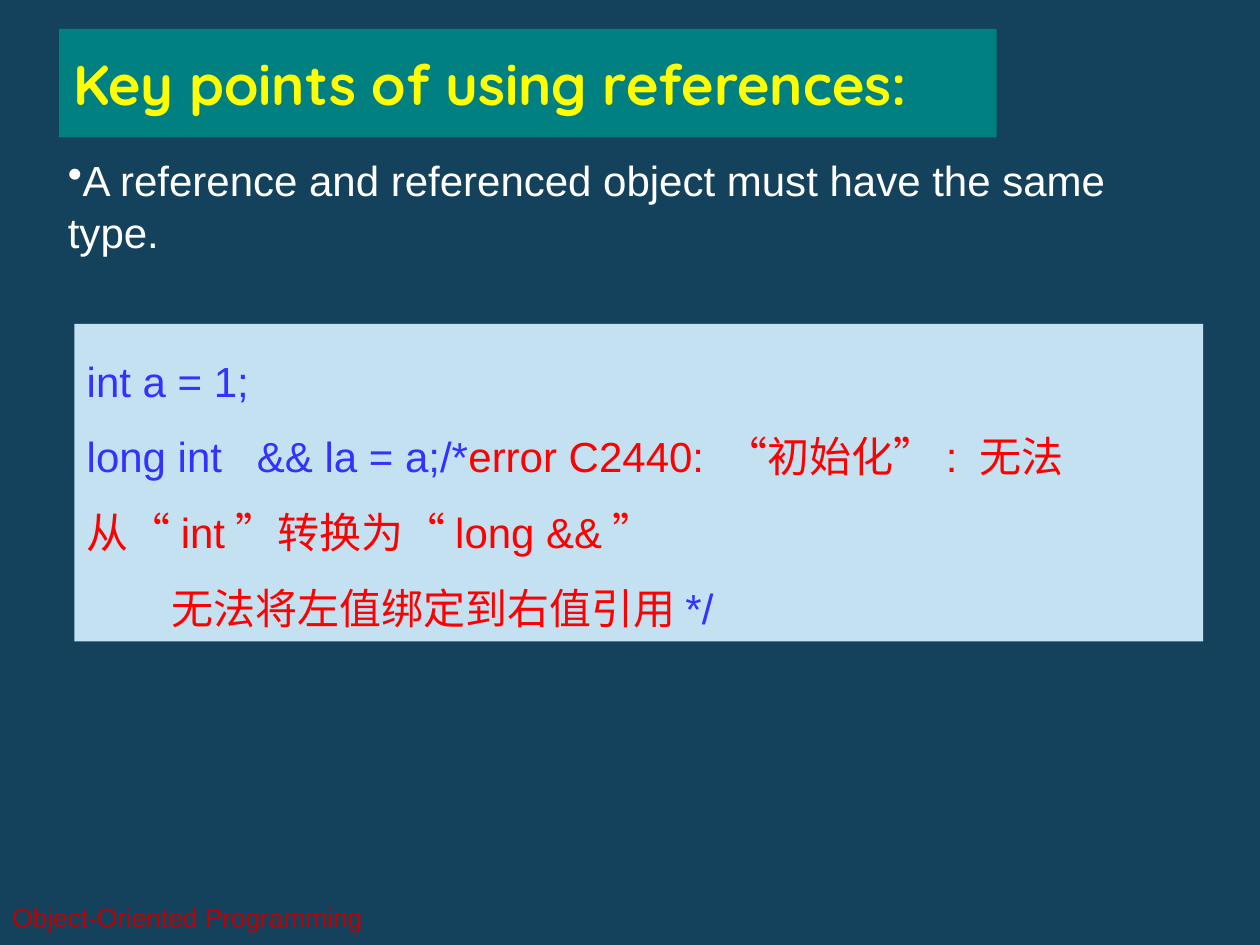
import pptx
import pptx.dml.color
import pptx.enum.shapes
import pptx.enum.text
import pptx.oxml
import pptx.util
from pptx.util import Inches

BACKGROUND, TEAL, PALE_BLUE = "14425D", "008080", "C4E1F2"
YELLOW, WHITE, BLUE, RED, DARK_RED = "FFFF00", "FFFFFF", "3333FF", "FF0000", "C00000"
ANCHOR = pptx.enum.text.MSO_ANCHOR

CODE = [
    [("int a = 1;", BLUE)],
    [("long int   && la = a;/*", BLUE),
     ("error C2440: “初始化”: 无法从“int”转换为“long &&”", RED)],
    [("         无法将左值绑定到右值引用", RED), ("*/", BLUE)],
]


def fill_solid(fill, color):
    fill.solid()
    fill.fore_color.rgb = pptx.dml.color.RGBColor.from_string(color)


def add_run(paragraph, text, color, size, font="Arial", bold=False):
    run = paragraph.add_run()
    run.text = text
    run.font.name = font
    run.font.size = pptx.util.Pt(size)
    run.font.bold = bold
    run.font.color.rgb = pptx.dml.color.RGBColor.from_string(color)


def prepare_frame(shape, anchor, side=0.1):
    """Set wrapping, anchor and margins, and return the text frame."""
    frame = shape.text_frame
    frame.word_wrap = True
    frame.auto_size = pptx.enum.text.MSO_AUTO_SIZE.NONE
    frame.vertical_anchor = anchor
    frame.margin_left = frame.margin_right = Inches(side)
    frame.margin_top = frame.margin_bottom = Inches(0.05)
    return frame


def place_title(slide, left, top, width, height):
    title = slide.shapes.title
    title.left, title.top, title.width, title.height = left, top, width, height
    fill_solid(title.fill, TEAL)
    heading = prepare_frame(title, ANCHOR.MIDDLE, 0.11).paragraphs[0]
    heading.alignment = pptx.enum.text.PP_ALIGN.LEFT
    add_run(heading, "Key points of using references:", YELLOW, 32, "Quicksand", True)


def add_rule(slide, *box):
    rule = prepare_frame(slide.shapes.add_textbox(*box), ANCHOR.TOP).paragraphs[0]
    rule.line_spacing = pptx.util.Pt(29.4)
    bullet = pptx.oxml.parse_xml(
        '<a:buChar xmlns:a="http://schemas.openxmlformats.org/drawingml/2006/main" char="•"/>')
    rule._p.get_or_add_pPr().append(bullet)
    add_run(rule, "A reference and referenced object must have the same type.", WHITE, 24)


def add_code(slide, *box):
    panel = slide.shapes.add_shape(pptx.enum.shapes.MSO_SHAPE.RECTANGLE, *box)
    panel.shadow.inherit = False
    fill_solid(panel.fill, PALE_BLUE)
    panel.line.fill.background()
    frame = prepare_frame(panel, ANCHOR.TOP)
    for index, pieces in enumerate(CODE):
        line = frame.add_paragraph() if index else frame.paragraphs[0]
        line.alignment = pptx.enum.text.PP_ALIGN.LEFT
        line.line_spacing = 1.5
        for text, color in pieces:
            add_run(line, text, color, 24)


def add_footer(slide, *box):
    footer = prepare_frame(slide.shapes.add_textbox(*box), ANCHOR.MIDDLE)
    add_run(footer.paragraphs[0], "Object-Oriented Programming", DARK_RED, 15)


def main():
    deck = pptx.Presentation()
    deck.slide_width, deck.slide_height = Inches(10), Inches(7.5)
    slide = deck.slides.add_slide(deck.slide_layouts.get_by_name("Title Only"))
    fill_solid(slide.background.fill, BACKGROUND)
    place_title(slide, Inches(0.47), Inches(0.23), Inches(7.44), Inches(0.86))
    add_footer(slide, Inches(0), Inches(7.08), Inches(4.01), Inches(0.4))
    add_rule(slide, Inches(0.44), Inches(1.17), Inches(9.11), Inches(1.3))
    add_code(slide, Inches(0.59), Inches(2.57), Inches(8.96), Inches(2.52))
    deck.save("out.pptx")


if __name__ == "__main__":
    main()
